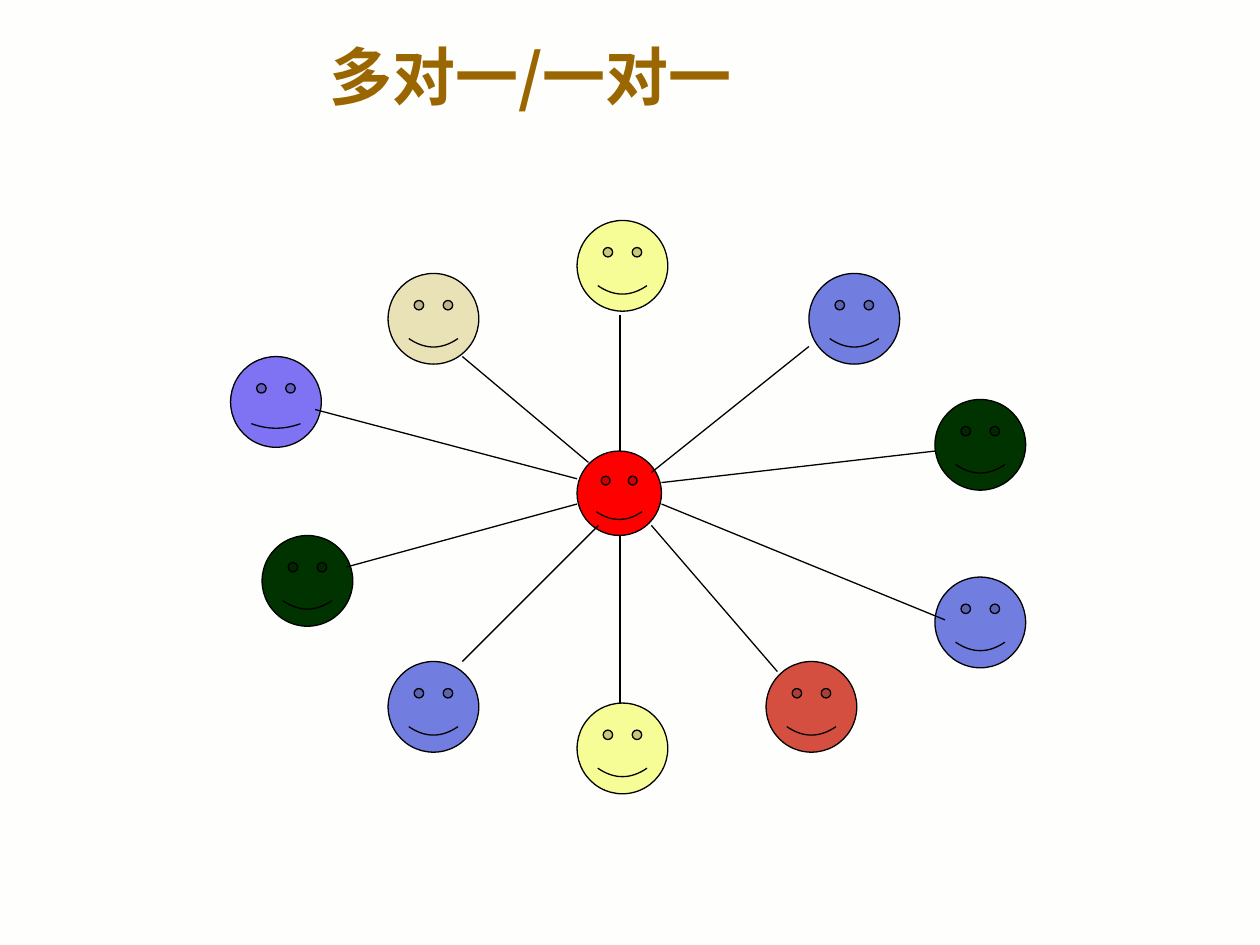
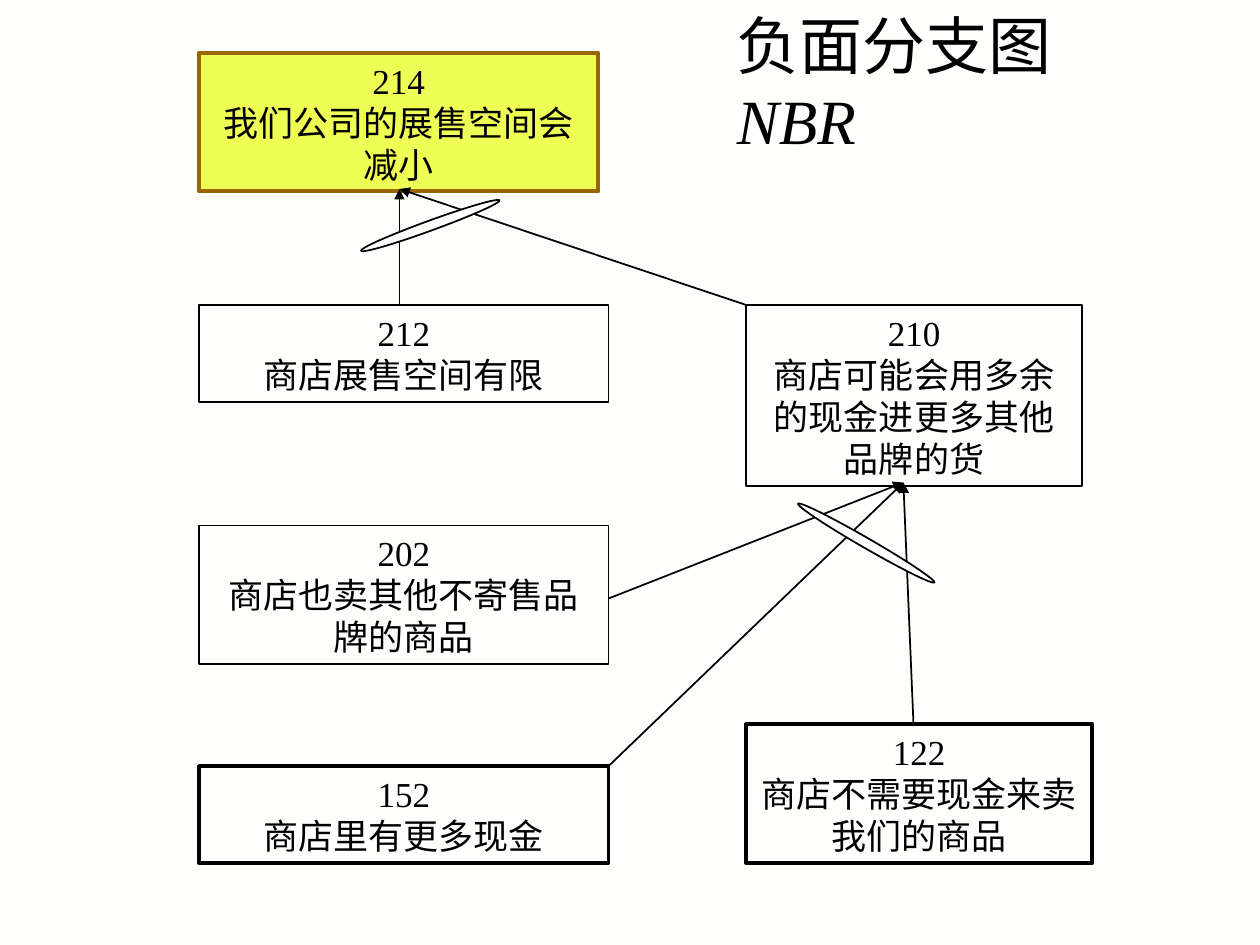
from lxml import etree
from pptx import Presentation
from pptx.dml.color import RGBColor
from pptx.enum import shapes, text
from pptx.oxml import ns
from pptx.util import Inches, Pt

PAPER, INK, BROWN = "FEFEFC", "000000", "996600"
LIME, BLUE, GREEN, YELLOW = "EEFE54", "727DE0", "003300", "F6FD97"
CJK, LATIN = "Noto Sans CJK SC", "Times New Roman"
SHAPE = shapes.MSO_SHAPE
ALIGN = text.PP_ALIGN

HUB = (4.58, 3.58, 0.67, "FF0000", 0.093)
FACE_SIZE = 0.72
SPOKES = [
    ((1.83, 2.83), "7F73F3", 0.025, (2.5, 3.25), (4.58, 3.8)),
    ((3.08, 2.17), "E9E2B6", 0.093, (3.67, 2.83), (4.67, 3.67)),
    ((4.58, 1.75), YELLOW, 0.093, (4.92, 2.5), (4.92, 3.58)),
    ((6.42, 2.17), BLUE, 0.093, (6.42, 2.75), (5.17, 3.75)),
    ((7.42, 3.17), GREEN, 0.093, (7.42, 3.58), (5.25, 3.83)),
    ((7.42, 4.58), BLUE, 0.093, (7.5, 4.92), (5.25, 4)),
    ((6.08, 5.25), "D54F41", 0.093, (6.17, 5.33), (5.17, 4.17)),
    ((4.58, 5.58), YELLOW, 0.093, (4.92, 5.58), (4.92, 4.25)),
    ((3.08, 5.25), BLUE, 0.093, (3.67, 5.25), (4.75, 4.17)),
    ((2.08, 4.25), GREEN, 0.093, (2.75, 4.5), (4.58, 4)),
]

CAUSES = [
    ((5.92, 5.75, 2.75, 1.1), "122", "商店不需要现金来卖我们的商品", PAPER, INK, 2.25),
    ((1.58, 6.08, 3.25, 0.77), "152", "商店里有更多现金", PAPER, INK, 2.25),
    ((1.58, 4.17, 3.25, 1.1), "202", "商店也卖其他不寄售品牌的商品", PAPER, INK, 1),
    ((5.92, 2.42, 2.67, 1.44), "210", "商店可能会用多余的现金进更多其他品牌的货", PAPER, INK, 1),
    ((1.58, 2.42, 3.25, 0.77), "212", "商店展售空间有限", PAPER, INK, 1),
    ((1.58, 0.42, 3.17, 1.1), "214", "我们公司的展售空间会减小", LIME, BROWN, 2.25),
]
JOINS = [
    ((7.17, 3.83), [(4.83, 4.75), (4.83, 6.08), (7.25, 5.75)], (6.25, 4.27, 1.25, 0.08), 30),
    ((3.17, 1.5), [(3.17, 2.42), (5.92, 2.42)], (2.83, 1.75, 1.17, 0.08), 160),
]


def color(value):
    return RGBColor.from_string(value)


def add_slide(prs):
    s = prs.slides.add_slide(prs.slide_layouts[6])
    s.background.fill.solid()
    s.background.fill.fore_color.rgb = color(PAPER)
    return s


def add_outlined(s, kind, box, fill, line=INK, width=1.0):
    sp = s.shapes.add_shape(kind, *map(Inches, box))
    sp.shadow.inherit = False
    sp.fill.solid()
    sp.fill.fore_color.rgb = color(fill)
    sp.line.color.rgb = color(line)
    sp.line.width = Pt(width)
    return sp


def add_line(s, start, end, width, arrow=False):
    c = s.shapes.add_connector(shapes.MSO_CONNECTOR.STRAIGHT, *map(Inches, start + end))
    c.line.color.rgb = color(INK)
    c.line.width = Pt(width)
    if arrow:
        etree.SubElement(c.line._get_or_add_ln(), ns.qn("a:tailEnd"), type="triangle")
    etree.SubElement(c._element.spPr, ns.qn("a:effectLst"))


def prepare_frame(sp):
    tf = sp.text_frame
    tf.word_wrap = True
    tf.vertical_anchor = text.MSO_ANCHOR.TOP
    tf.margin_left = tf.margin_right = Inches(0.1)
    tf.margin_top = tf.margin_bottom = Inches(0.05)
    return tf


def add_run(p, words, size, font=LATIN, ink=INK, bold=False, italic=False):
    r = p.add_run()
    r.text = words
    r.font.size = Pt(size)
    r.font.name = font
    r.font.bold = bold
    r.font.italic = italic
    r.font.color.rgb = color(ink)
    etree.SubElement(r._r.get_or_add_rPr(), ns.qn("a:ea"), typeface=CJK)
    p.line_spacing = Pt(size * 1.2)


def add_title(s, box, align):
    p = prepare_frame(s.shapes.add_textbox(*map(Inches, box))).paragraphs[0]
    p.alignment = align
    return p


def add_face(s, left, top, size, fill, smile):
    face = add_outlined(s, SHAPE.SMILEY_FACE, (left, top, size, size), fill, width=0.75)
    face.adjustments[0] = smile


def add_cause(s, box, number, statement, fill, line, width):
    tf = prepare_frame(add_outlined(s, SHAPE.RECTANGLE, box, fill, line, width))
    for i, words in enumerate((number, statement)):
        p = tf.add_paragraph() if i else tf.paragraphs[0]
        p.alignment = ALIGN.CENTER
        add_run(p, words, 20)


def add_join(s, effect, causes, ellipse, angle):
    for cause in causes:
        add_line(s, cause, effect, 1, arrow=True)
    add_outlined(s, SHAPE.OVAL, ellipse, PAPER).rotation = angle


def build_many_to_one(prs):
    s = add_slide(prs)
    for (left, top), fill, smile, _, _ in SPOKES:
        add_face(s, left, top, FACE_SIZE, fill, smile)
    add_face(s, *HUB)
    for *_, outer, inner in SPOKES:
        add_line(s, outer, inner, 0.75)
    p = add_title(s, (0, 0.25, 8.42, 0.7), ALIGN.CENTER)
    add_run(p, "多对一/一对一", 36, CJK, BROWN, bold=True)


def build_negative_branch(prs):
    s = add_slide(prs)
    for cause in CAUSES:
        add_cause(s, *cause)
    for join in JOINS:
        add_join(s, *join)
    p = add_title(s, (5.75, 0, 2.75, 1.3), ALIGN.LEFT)
    add_run(p, "负面分支图", 36, CJK)
    add_run(p, "NBR", 36, italic=True)


def main():
    prs = Presentation()
    prs.slide_width, prs.slide_height = Inches(10), Inches(7.5)
    build_many_to_one(prs)
    build_negative_branch(prs)
    prs.save("out.pptx")


if __name__ == "__main__":
    main()
